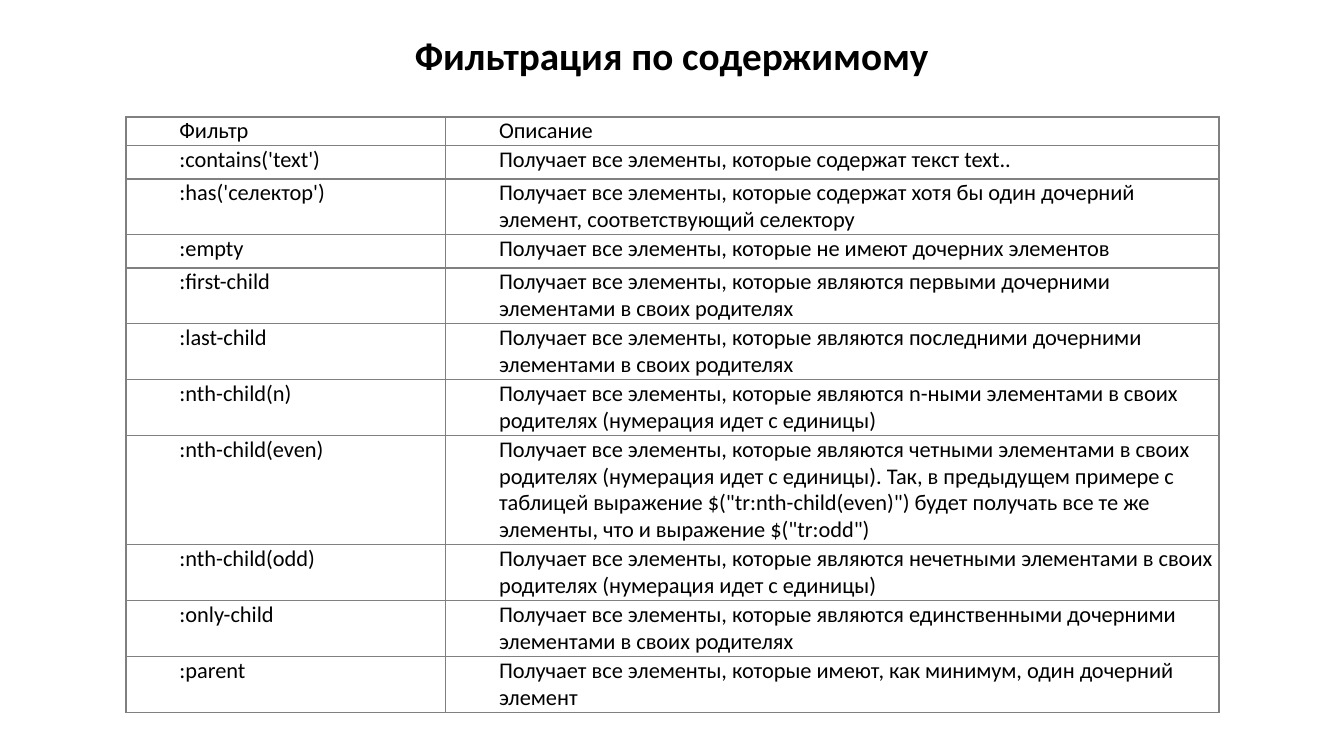
from dataclasses import dataclass

from lxml import etree
from pptx import Presentation
from pptx.dml.color import RGBColor
from pptx.enum.text import MSO_ANCHOR, PP_ALIGN
from pptx.oxml.ns import qn
from pptx.util import Pt

PX = 9144
CENTER = PP_ALIGN.CENTER
TOP, MIDDLE = MSO_ANCHOR.TOP, MSO_ANCHOR.MIDDLE
TITLE_ONLY = 5


@dataclass(frozen=True)
class Theme:
    """Colours, font and type sizes of the slide."""
    font: str = "Calibri"
    ink: str = "000000"
    border: str = "808080"
    title: int = 28
    body: int = 16
    leading: float = 19.2


THEME = Theme()
TITLE = "Фильтрация по содержимому"
COLUMNS = (317, 767)
FILTERS = (
    (28, "Фильтр", "Описание"),
    (33, ":contains('text')", "Получает все элементы, которые содержат текст text.."),
    (54, ":has('селектор')",
     "Получает все элементы, которые содержат хотя бы один дочерний элемент, "
     "соответствующий селектору"),
    (33, ":empty", "Получает все элементы, которые не имеют дочерних элементов"),
    (54, ":first-child",
     "Получает все элементы, которые являются первыми дочерними элементами в своих родителях"),
    (54, ":last-child",
     "Получает все элементы, которые являются последними дочерними элементами в своих родителях"),
    (54, ":nth-child(n)",
     "Получает все элементы, которые являются n-ными элементами в своих родителях "
     "(нумерация идет с единицы)"),
    (107, ":nth-child(even)",
     "Получает все элементы, которые являются четными элементами в своих родителях "
     "(нумерация идет с единицы). Так, в предыдущем примере с таблицей "
     "выражение $(\"tr:nth-child(even)\") будет получать все те же элементы, "
     "что и выражение $(\"tr:odd\")"),
    (54, ":nth-child(odd)",
     "Получает все элементы, которые являются нечетными элементами в своих родителях "
     "(нумерация идет с единицы)"),
    (54, ":only-child",
     "Получает все элементы, которые являются единственными дочерними элементами "
     "в своих родителях"),
    (54, ":parent",
     "Получает все элементы, которые имеют, как минимум, один дочерний элемент"),
)


def px(n):
    """Turn whole px into EMU."""
    return n * PX


def style_text(p, size, bold=False):
    """Give the runs of a paragraph the theme's font and ink."""
    for r in p.runs:
        r.font.name = THEME.font
        r.font.size = Pt(size)
        r.font.bold = bold
        r.font.color.rgb = RGBColor.from_string(THEME.ink)


def add_borders(cell):
    """Draw a thin line on each side of a cell."""
    tc_pr = cell._tc.get_or_add_tcPr()
    for side in ("lnL", "lnR", "lnT", "lnB"):
        ln = etree.SubElement(tc_pr, qn(f"a:{side}"), w=str(Pt(1)))
        fill = etree.SubElement(ln, qn("a:solidFill"))
        etree.SubElement(fill, qn("a:srgbClr"), val=THEME.border)


def fill_cell(cell, text):
    """Write one indented cell with borders and no fill."""
    add_borders(cell)
    cell.fill.background()
    cell.margin_left, cell.margin_right = px(3), px(2)
    cell.margin_top = cell.margin_bottom = px(1)
    cell.vertical_anchor = TOP
    cell.text_frame.text = text
    p = cell.text_frame.paragraphs[0]
    p.line_spacing = Pt(THEME.leading)
    p_pr = p._p.get_or_add_pPr()
    p_pr.set("marL", str(px(50)))
    p_pr.set("indent", "0")
    style_text(p, THEME.body)


def place_title(s, x, y, w, h):
    """Place the slide title in its box."""
    sp = s.shapes.title
    sp.left, sp.top, sp.width, sp.height = px(x), px(y), px(w), px(h)
    tf = sp.text_frame
    tf.text = TITLE
    tf.word_wrap = False
    tf.vertical_anchor = MIDDLE
    p = tf.paragraphs[0]
    p.alignment = CENTER
    style_text(p, THEME.title, bold=True)


def place_filter_table(s, x, y):
    """Place the table of filters with its corner at x, y."""
    height = sum(row[0] for row in FILTERS)
    frame = s.shapes.add_table(len(FILTERS), len(COLUMNS), px(x), px(y),
                               px(sum(COLUMNS)), px(height))
    table = frame.table
    table.first_row = table.horz_banding = False
    for column, width in zip(table.columns, COLUMNS):
        column.width = px(width)
    for row, (row_height, *texts) in zip(table.rows, FILTERS):
        row.height = px(row_height)
        for cell, text in zip(row.cells, texts):
            fill_cell(cell, text)


def main():
    """Build the slide and save it."""
    prs = Presentation()
    prs.slide_width, prs.slide_height = px(1333), px(750)
    s = prs.slides.add_slide(prs.slide_layouts[TITLE_ONLY])
    place_title(s, 399, 26, 534, 57)
    place_filter_table(s, 125, 116)
    prs.save("out.pptx")


if __name__ == "__main__":
    main()
